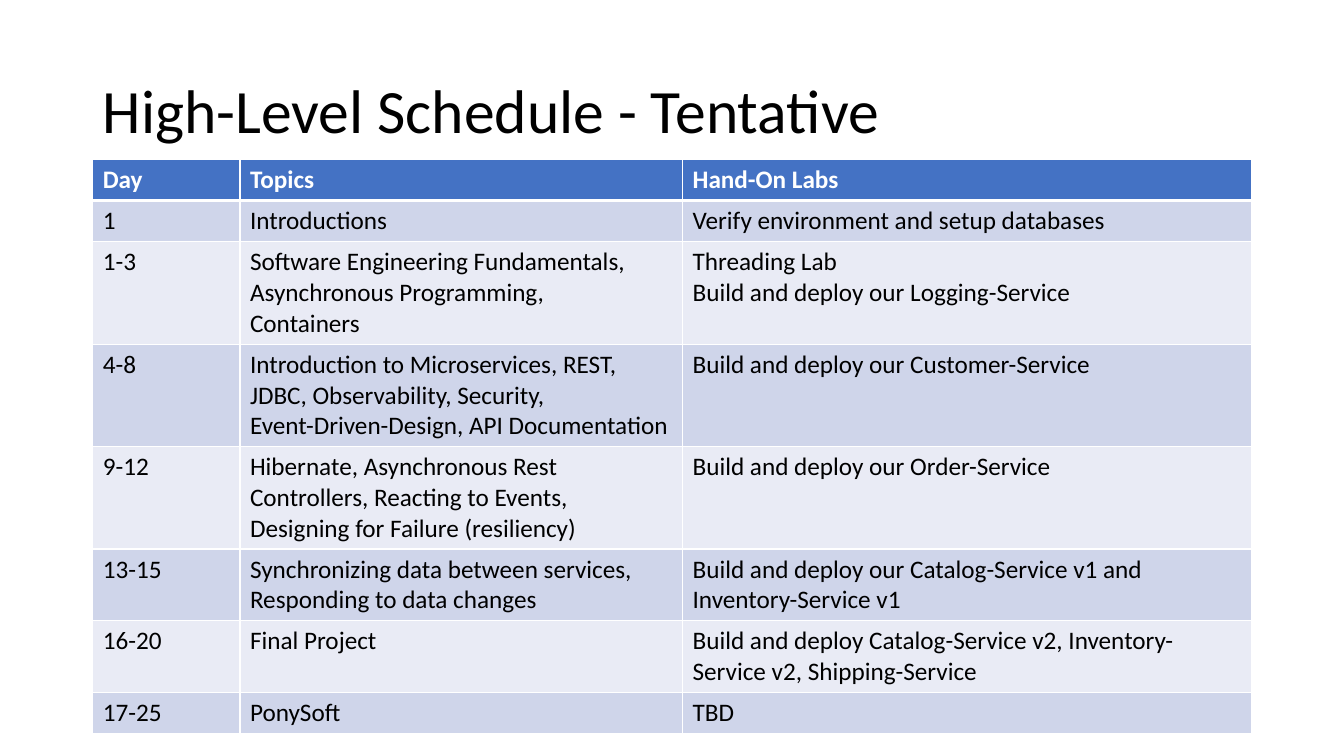
from dataclasses import dataclass

from lxml import etree
from pptx import Presentation
from pptx.dml.color import RGBColor
from pptx.enum.text import MSO_ANCHOR, MSO_AUTO_SIZE, PP_ALIGN
from pptx.oxml.ns import qn
from pptx.util import Inches, Pt

LEFT = PP_ALIGN.LEFT
MIDDLE = MSO_ANCHOR.MIDDLE
NO_AUTOFIT = MSO_AUTO_SIZE.NONE
TITLE_ONLY = 5


@dataclass(frozen=True)
class Theme:
    font: str = "Calibri"
    title_size: int = 44
    table_size: int = 18
    text: str = "000000"
    header_text: str = "FFFFFF"
    header_fill: str = "4472C4"
    bands: tuple = ("CFD5EA", "E9EBF5")
    border: str = "FFFFFF"


THEME = Theme()
COLUMN_WIDTHS = (1.46, 4.39, 5.64)
ROW_HEIGHT = 0.41
SCHEDULE = (
    ("Day", "Topics", "Hand-On Labs"),
    ("1", "Introductions", "Verify environment and setup databases"),
    ("1-3",
     "Software Engineering Fundamentals,\nAsynchronous Programming,\nContainers",
     "Threading Lab\nBuild and deploy our Logging-Service"),
    ("4-8",
     "Introduction to Microservices, REST,\nJDBC, Observability, Security,\n"
     "Event-Driven-Design, API Documentation",
     "Build and deploy our Customer-Service"),
    ("9-12",
     "Hibernate, Asynchronous Rest Controllers, Reacting to Events, "
     "Designing for Failure (resiliency)",
     "Build and deploy our Order-Service"),
    ("13-15",
     "Synchronizing data between services,\nResponding to data changes",
     "Build and deploy our Catalog-Service v1 and Inventory-Service v1"),
    ("16-20", "Final Project",
     "Build and deploy Catalog-Service v2, Inventory-Service v2, Shipping-Service"),
    ("17-25", "PonySoft", "TBD"),
)


def format_text(frame, size, color, bold=False):
    for para in frame.paragraphs:
        para.alignment = LEFT
        for span in para.runs:
            span.font.name = THEME.font
            span.font.size = Pt(size)
            span.font.bold = bold
            span.font.color.rgb = RGBColor.from_string(color)


def set_borders(cell, widths):
    """Draw the left, right, top and bottom borders, widths in points."""
    properties = cell._tc.get_or_add_tcPr()
    for position, (side, width) in enumerate(zip("LRTB", widths)):
        line = etree.Element(qn(f"a:ln{side}"), w=str(Pt(width)))
        fill = etree.SubElement(line, qn("a:solidFill"))
        etree.SubElement(fill, qn("a:srgbClr"), val=THEME.border)
        properties.insert(position, line)


deck = Presentation()
deck.slide_width = Inches(13.33)
deck.slide_height = Inches(7.5)
page = deck.slides.add_slide(deck.slide_layouts[TITLE_ONLY])

title = page.shapes.title
title.left, title.top = Inches(0.92), Inches(0.4)
title.width, title.height = Inches(11.5), Inches(1.45)
title.text_frame.text = "High-Level Schedule - Tentative"
title.text_frame.vertical_anchor = MIDDLE
title.text_frame.auto_size = NO_AUTOFIT
title.text_frame.paragraphs[0].line_spacing = 0.9
format_text(title.text_frame, THEME.title_size, THEME.text)

table = page.shapes.add_table(
    len(SCHEDULE), len(COLUMN_WIDTHS), Inches(0.92), Inches(1.58),
    Inches(sum(COLUMN_WIDTHS)), Inches(ROW_HEIGHT * len(SCHEDULE))).table
for column, width in zip(table.columns, COLUMN_WIDTHS):
    column.width = Inches(width)

for row_number, entries in enumerate(SCHEDULE):
    table.rows[row_number].height = Inches(ROW_HEIGHT)
    is_header = row_number == 0
    fill_color = THEME.header_fill if is_header else THEME.bands[(row_number - 1) % 2]
    text_color = THEME.header_text if is_header else THEME.text
    top_width = 3 if row_number == 1 else 1
    bottom_width = 3 if is_header else 1
    for column_number, entry in enumerate(entries):
        cell = table.cell(row_number, column_number)
        cell.text_frame.text = entry
        format_text(cell.text_frame, THEME.table_size, text_color, is_header)
        cell.fill.solid()
        cell.fill.fore_color.rgb = RGBColor.from_string(fill_color)
        set_borders(cell, (1, 1, top_width, bottom_width))

deck.save("out.pptx")
